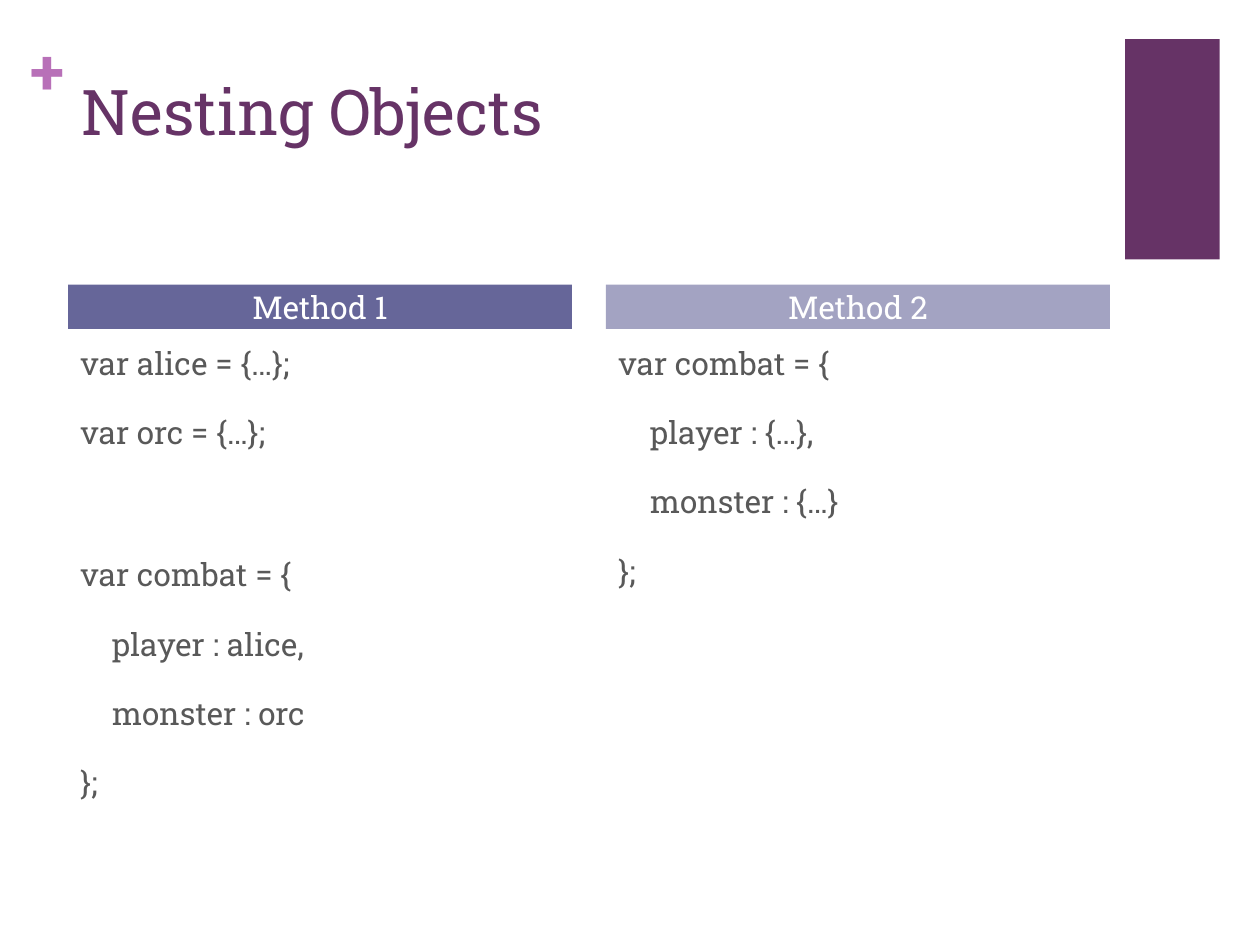
from dataclasses import dataclass

from pptx import Presentation
from pptx.dml.color import RGBColor
from pptx.enum.shapes import MSO_SHAPE as Kind
from pptx.enum.text import MSO_ANCHOR as Anchor, PP_ALIGN as Align
from pptx.util import Inches, Pt

WIDE, HIGH = 10, 7.5
FONT = "Roboto Slab"
PLUM = RGBColor(0x66, 0x33, 0x66)
PINK = RGBColor(0xB8, 0x70, 0xB8)
SLATE = RGBColor(0x66, 0x66, 0x99)
MIST = RGBColor(0xA3, 0xA3, 0xC2)
GRAY = RGBColor(0x59, 0x59, 0x59)
WHITE = RGBColor(0xFF, 0xFF, 0xFF)

# Column grid, in inches
LEFT, COL, STEP = 0.54, 4, 4.27
HEAD_TOP, HEAD_HIGH = 2.26, 0.35
CODE_TOP, CODE_HIGH = 2.68, 4.02
GAP = 18        # points between code lines
BREAK = 59.7    # gap that leaves one line free
TAB = 0.25


@dataclass
class Box:
    left: float
    top: float
    wide: float
    high: float

    def place(self) -> list[int]:
        return [Inches(n) for n in (self.left, self.top, self.wide, self.high)]


@dataclass
class Line:
    text: str
    depth: int = 0
    gap: float = GAP


@dataclass
class Method:
    name: str
    fill: RGBColor
    code: list[Line]


METHODS = [
    Method("Method 1", SLATE, [
        Line("var alice = {…};"),
        Line("var orc = {…};"),
        Line("var combat = {", gap=BREAK),
        Line("player : alice,", 1),
        Line("monster : orc", 1),
        Line("};"),
    ]),
    Method("Method 2", MIST, [
        Line("var combat = {"),
        Line("player : {…},", 1),
        Line("monster : {…}", 1),
        Line("};"),
    ]),
]


def add_run(para, text: str, size: float, color: RGBColor, bold: bool = False) -> None:
    run = para.add_run()
    run.text = text
    font = run.font
    font.name, font.size, font.bold = FONT, Pt(size), bold
    font.color.rgb = color


def add_rect(slide, box: Box, fill: RGBColor):
    rect = slide.shapes.add_shape(Kind.RECTANGLE, *box.place())
    rect.shadow.inherit = False
    rect.fill.solid()
    rect.fill.fore_color.rgb = fill
    rect.line.fill.background()
    return rect


def add_frame(slide, box: Box):
    frame = slide.shapes.add_textbox(*box.place()).text_frame
    frame.word_wrap = True
    return frame


def add_head(slide, box: Box, method: Method) -> None:
    frame = add_rect(slide, box, method.fill).text_frame
    frame.margin_top = frame.margin_bottom = 0
    frame.vertical_anchor = Anchor.MIDDLE
    para = frame.paragraphs[0]
    para.alignment = Align.CENTER
    add_run(para, method.name, 18, WHITE)


def add_code(slide, box: Box, code: list[Line]) -> None:
    frame = add_frame(slide, box)
    for i, line in enumerate(code):
        para = frame.add_paragraph() if i else frame.paragraphs[0]
        para.space_before = Pt(line.gap if i else 0)
        # Nested lines are set in by a paragraph margin
        para._p.get_or_add_pPr().set("marL", str(Inches(TAB * line.depth)))
        add_run(para, line.text, 18, GRAY)


def main() -> None:
    deck = Presentation()
    deck.slide_width, deck.slide_height = Inches(WIDE), Inches(HIGH)
    slide = deck.slides.add_slide(deck.slide_layouts[6])

    # Corner block and plus sign
    add_rect(slide, Box(8.93, 0.31, 0.75, 1.75), PLUM)
    plus = add_frame(slide, Box(0.24, 0.25, 0.29, 0.61))
    plus.margin_left = plus.margin_right = plus.margin_top = plus.margin_bottom = 0
    add_run(plus.paragraphs[0], "+", 36, PINK, True)

    # Title
    title = add_frame(slide, Box(0.55, 0.53, 8.26, 1.22))
    add_run(title.paragraphs[0], "Nesting Objects", 36, PLUM)

    # One column per method
    for i, method in enumerate(METHODS):
        left = LEFT + i * STEP
        add_code(slide, Box(left, CODE_TOP, COL, CODE_HIGH), method.code)
        add_head(slide, Box(left, HEAD_TOP, COL, HEAD_HIGH), method)

    deck.save("out.pptx")


if __name__ == "__main__":
    main()
